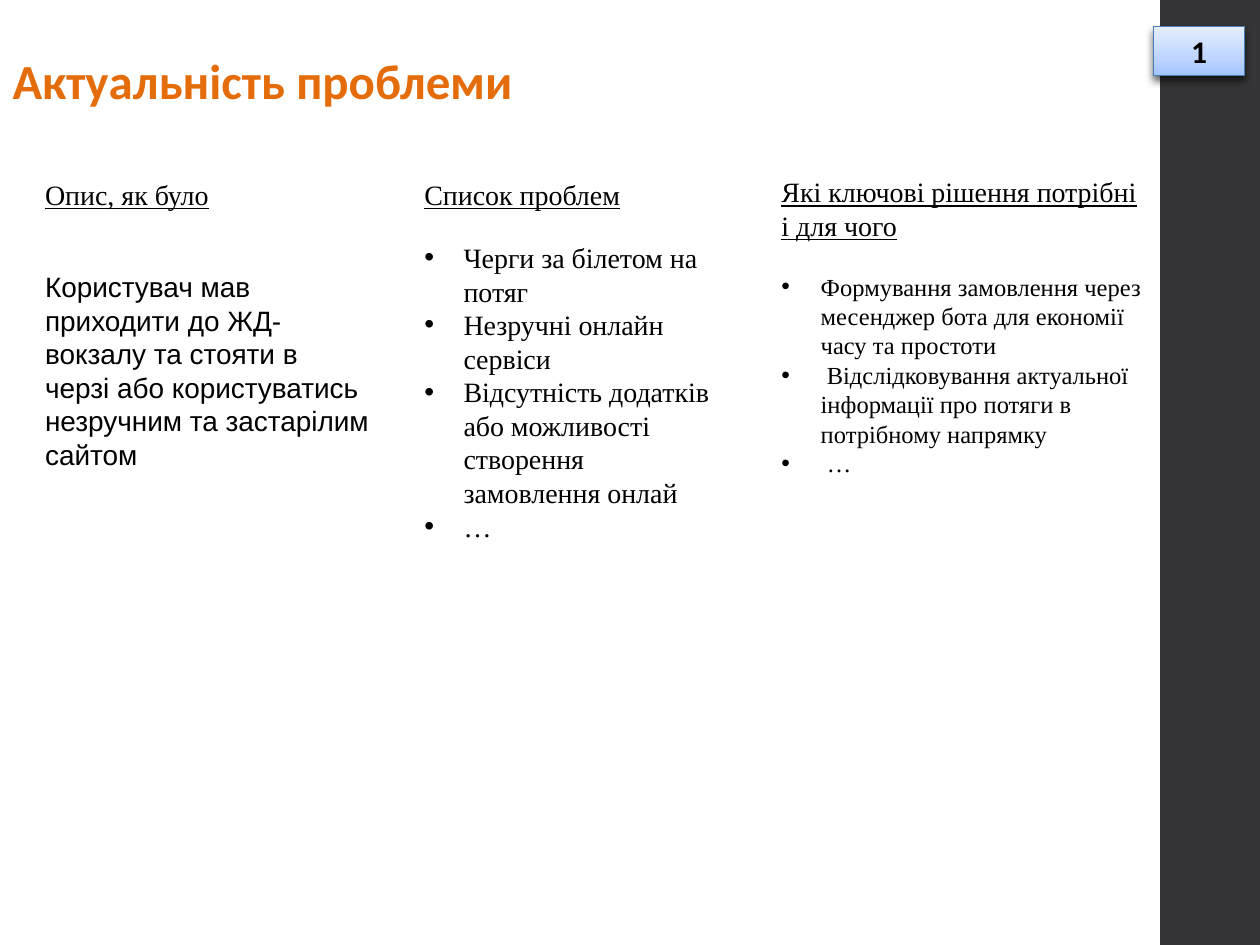
from copy import deepcopy
from dataclasses import dataclass

from lxml import etree
from pptx import Presentation
from pptx import util as u
from pptx.dml.color import RGBColor
from pptx.enum import shapes, text
from pptx.oxml import ns

BLACK = "000000"
INDENT = u.Cm(0.79)


@dataclass
class Box:
    left: float
    top: float
    width: float
    height: float

    def lengths(self) -> list:
        return [u.Cm(n) for n in (self.left, self.top, self.width, self.height)]


@dataclass
class Column:
    box: Box
    heading: str
    items: list[str]
    size: int = 16
    font: str = "Times New Roman"
    gap: float = 16.8
    bulleted: bool = True


COLUMNS = [
    Column(Box(0.66, 3.45, 7.04, 10.46), "Опис, як було",
           ["Користувач мав приходити до ЖД-вокзалу та стояти в черзі "
            "або користуватись незручним та застарілим сайтом"],
           font="Arial", gap=33.5, bulleted=False),
    Column(Box(8.3, 3.45, 6.6, 14), "Список проблем",
           ["Черги за білетом на потяг", "Незручні онлайн сервіси",
            "Відсутність додатків або можливості створення замовлення онлай", "…"]),
    Column(Box(15.5, 3.4, 7.87, 12.19), "Які ключові рішення потрібні і для чого",
           ["Формування замовлення через месенджер бота для економії часу та простоти",
            " Відслідковування актуальної інформації про потяги в потрібному напрямку",
            " …"], size=14),
]


def color(value: str) -> RGBColor:
    return RGBColor.from_string(value)


def add_xml(parent, tag: str, **attributes: str):
    return etree.SubElement(parent, ns.qn(tag), attributes)


def place(shape, box: Box) -> None:
    shape.left, shape.top, shape.width, shape.height = box.lengths()


def style(paragraph, font: str, size: int, value: str = BLACK, bold: bool = False) -> None:
    paragraph.font.name = font
    paragraph.font.size = u.Pt(size)
    paragraph.font.bold = bold
    paragraph.font.color.rgb = color(value)


def set_bullet(paragraph, bulleted: bool) -> None:
    properties = paragraph._p.get_or_add_pPr()
    indent = INDENT if bulleted else 0
    properties.set("marL", str(indent))
    properties.set("indent", str(-indent))
    # Bullet elements must come before the default run properties
    if bulleted:
        bullets = [add_xml(properties, "a:buFont", typeface="Arial"),
                   add_xml(properties, "a:buChar", char="•")]
    else:
        bullets = [add_xml(properties, "a:buNone")]
    for bullet in bullets:
        properties.find(ns.qn("a:defRPr")).addprevious(bullet)


def fill_column(shape, column: Column) -> None:
    place(shape, column.box)
    frame = shape.text_frame
    frame.word_wrap = True
    frame.auto_size = text.MSO_AUTO_SIZE.NONE
    frame.text = "\n".join([column.heading, *column.items])
    for index, paragraph in enumerate(frame.paragraphs):
        is_heading = index == 0
        paragraph.line_spacing = 1.0
        paragraph.space_before = u.Pt(column.gap if index == 1 else 0)
        if is_heading:
            style(paragraph, "Times New Roman", 16)
            paragraph.font.underline = True
        else:
            style(paragraph, column.font, column.size)
        set_bullet(paragraph, column.bulleted and not is_heading)


def add_rectangle(slide, box: Box):
    shape = slide.shapes.add_shape(shapes.MSO_SHAPE.RECTANGLE, *box.lengths())
    shape.shadow.inherit = False
    return shape


def add_badge(slide, box: Box, label: str) -> None:
    badge = add_rectangle(slide, box)
    badge.line.color.rgb = color("4A7EBB")
    badge.line.width = u.Pt(0.75)

    # Three-stop gradient, lightest at the top
    badge.fill.gradient()
    badge.fill.gradient_angle = 90
    stop_list = badge._element.spPr.find(".//" + ns.qn("a:gsLst"))
    stop_list.insert(1, deepcopy(stop_list[0]))
    stops = [(0, "A3C4FF"), (0.35, "BFD5FF"), (1, "E5EEFF")]
    for stop, (position, value) in zip(badge.fill.gradient_stops, stops):
        stop.position = position
        stop.color.rgb = color(value)

    # Soft shadow below
    effects = badge._element.spPr.find(ns.qn("a:effectLst"))
    shadow = add_xml(effects, "a:outerShdw", blurRad=str(u.Pt(5)), dist=str(u.Pt(3)),
                     dir="5400000", rotWithShape="0")
    add_xml(add_xml(shadow, "a:srgbClr", val=BLACK), "a:alpha", val="63000")

    badge.text_frame.text = label
    paragraph = badge.text_frame.paragraphs[0]
    paragraph.alignment = text.PP_ALIGN.CENTER
    style(paragraph, "Calibri", 18, bold=True)


def main() -> None:
    presentation = Presentation()
    presentation.slide_width, presentation.slide_height = u.Cm(25.4), u.Cm(19.05)
    slide = presentation.slides.add_slide(presentation.slide_layouts[3])

    # Title
    title = slide.shapes.title
    place(title, Box(0, 0.53, 22.89, 2.18))
    title.text_frame.text = "Актуальність проблеми"
    title.text_frame.vertical_anchor = text.MSO_ANCHOR.MIDDLE
    title.text_frame.auto_size = text.MSO_AUTO_SIZE.NONE
    title.text_frame.paragraphs[0].alignment = text.PP_ALIGN.LEFT
    style(title.text_frame.paragraphs[0], "Calibri", 28, "E46C0A", bold=True)

    # Description and the two lists
    description = slide.shapes.add_textbox(*COLUMNS[0].box.lengths())
    bodies = [description, slide.placeholders[1], slide.placeholders[2]]
    for body, column in zip(bodies, COLUMNS):
        fill_column(body, column)

    # Side band and page number
    band = add_rectangle(slide, Box(23.39, 0, 2.01, 19.05))
    band.fill.solid()
    band.fill.fore_color.rgb = color("353537")
    band.line.fill.background()
    add_badge(slide, Box(23.26, 0.53, 1.83, 0.99), "1")

    presentation.save("out.pptx")


if __name__ == "__main__":
    main()
